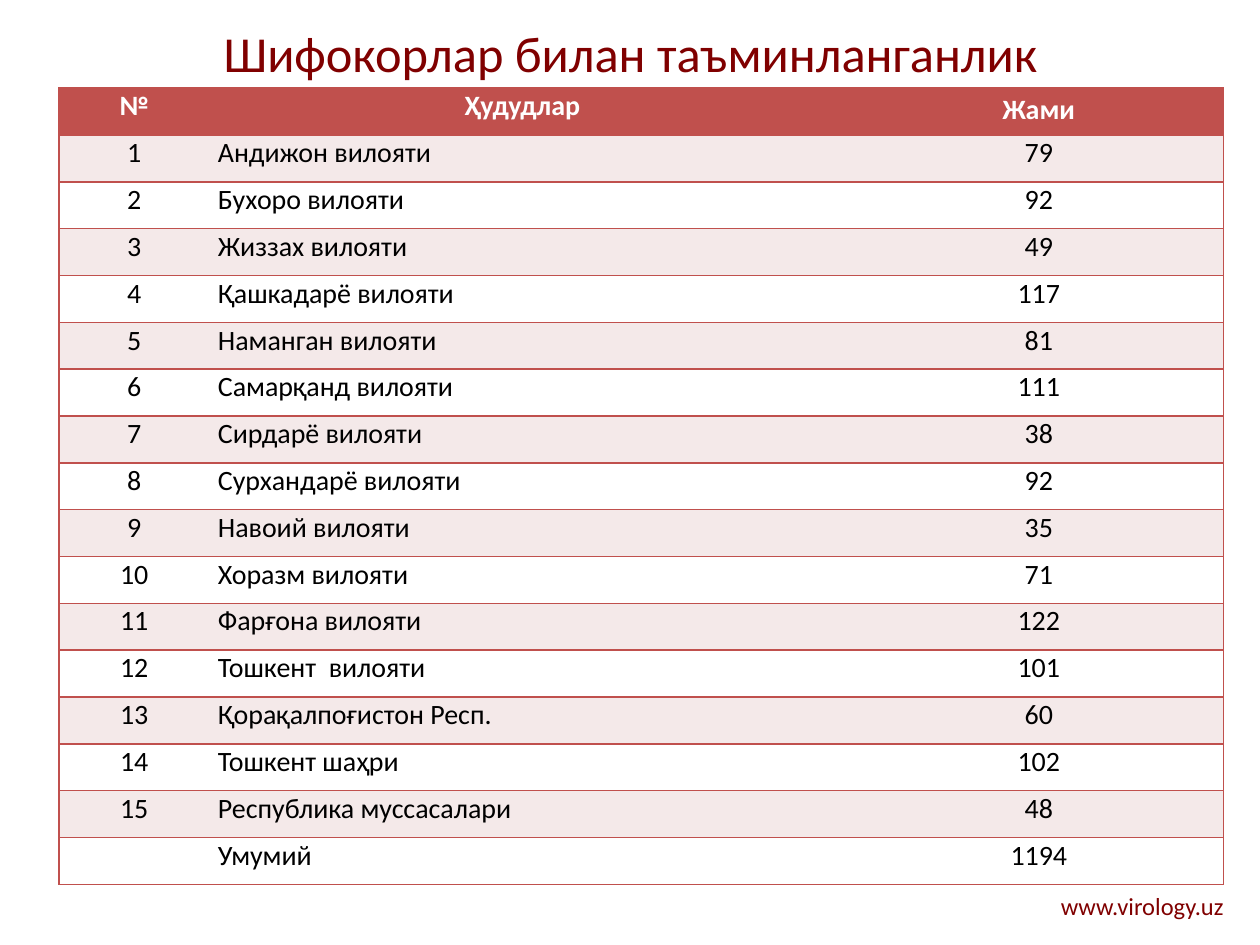
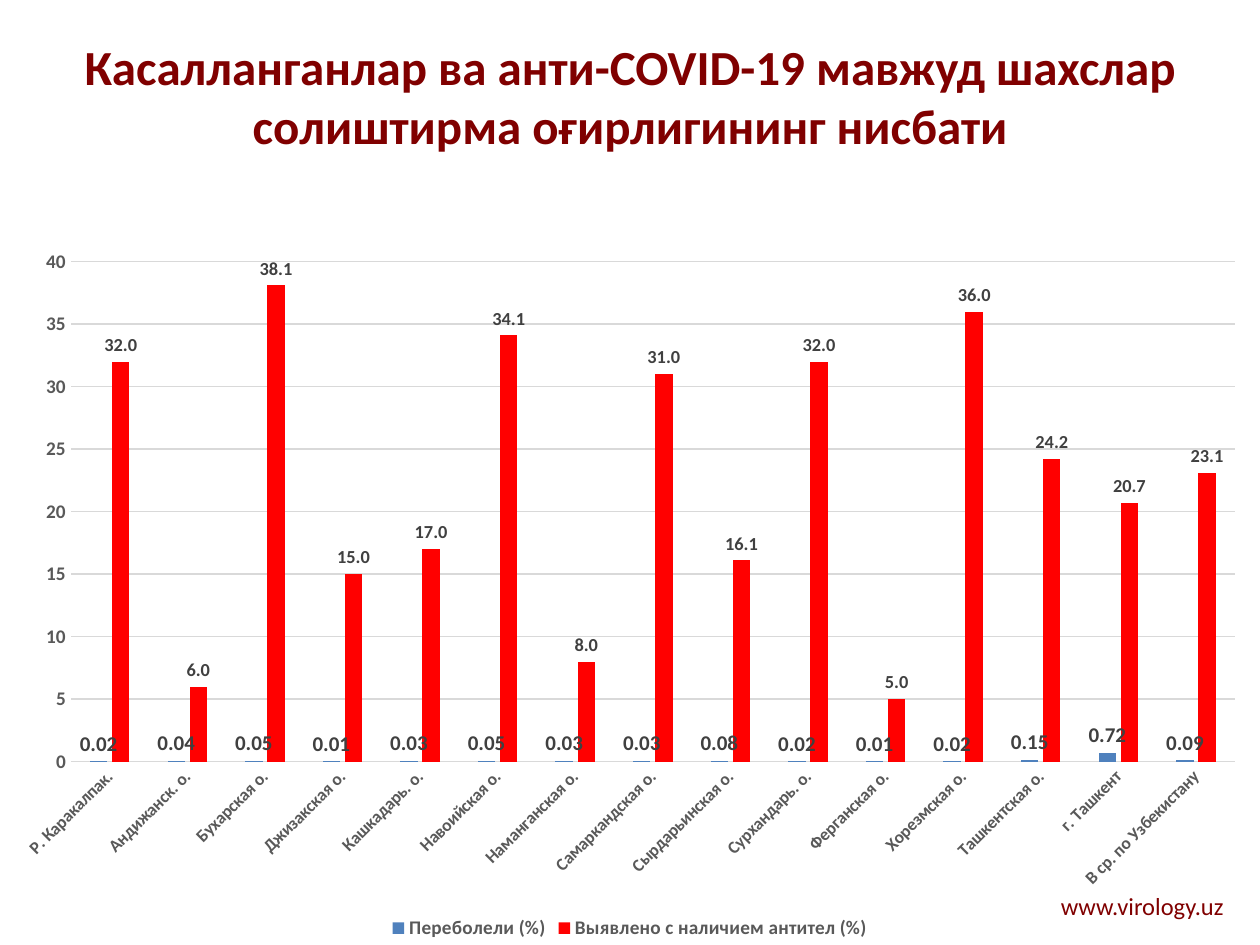
from dataclasses import dataclass

from pptx import Presentation
from pptx import util as u
from pptx.chart import data as cd
from pptx.dml import color as dc
from pptx.enum import chart as ce
from pptx.enum import text as te
from pptx.oxml import parse_xml
from pptx.oxml.ns import nsdecls

FONT = "Calibri"
HUES = {
    "title": "800000", "rule": "C0504D", "band": "F4E9E9", "white": "FFFFFF",
    "black": "000000", "grey": "595959", "label": "404040", "grid": "D9D9D9",
    "blue": "4F81BD", "red": "FF0000",
}
MID, LEFT, RIGHT = te.PP_ALIGN.CENTER, te.PP_ALIGN.JUSTIFY, te.PP_ALIGN.RIGHT
SITE = "www.virology.uz"
HEADS = ("№", "Ҳудудлар", "Жами")
AREAS = (
    ("Андижон вилояти", 79), ("Бухоро вилояти", 92), ("Жиззах вилояти", 49),
    ("Қашкадарё вилояти", 117), ("Наманган вилояти", 81),
    ("Самарқанд вилояти", 111), ("Сирдарё вилояти", 38),
    ("Сурхандарё вилояти", 92), ("Навоий вилояти", 35),
    ("Хоразм вилояти", 71), ("Фарғона вилояти", 122),
    ("Тошкент  вилояти", 101), ("Қорақалпоғистон Респ.", 60),
    ("Тошкент шаҳри", 102), ("Республика муссасалари", 48),
)
TOTAL = ("", "Умумий", 1194)
RATES = (
    ("Р. Каракалпак.", 0.02, 32), ("Андижанск. о.", 0.04, 6),
    ("Бухарская о.", 0.05, 38.1), ("Джизакская о.", 0.01, 15),
    ("Кашкадарь. о.", 0.03, 17), ("Навоийская о.", 0.05, 34.1),
    ("Наманганская о.", 0.03, 8), ("Самаркандская о.", 0.03, 31),
    ("Сырдарьинская о.", 0.08, 16.1), ("Сурхандарь. о.", 0.02, 32),
    ("Ферганская о.", 0.01, 5), ("Хорезмская о.", 0.02, 36),
    ("Ташкентская о.", 0.15, 24.2), ("г. Ташкент", 0.72, 20.7),
    ("В ср. по Узбекистану", 0.09, 23.1),
)


@dataclass(frozen=True)
class Box:
    left: float
    top: float
    width: float
    height: float

    def spans(self) -> tuple:
        return tuple(u.Inches(n) for n in
                     (self.left, self.top, self.width, self.height))


@dataclass(frozen=True)
class Bars:
    name: str
    hue: str
    size: float
    form: str


BARS = (
    Bars("Переболели (%)", "blue", 12, "General"),
    Bars("Выявлено с наличием антител (%)", "red", 10.5, "0.0"),
)


def tint(hue: str) -> dc.RGBColor:
    return dc.RGBColor.from_string(HUES[hue])


def style(font, size: float, hue: str, bold: bool = False) -> None:
    font.name, font.size, font.bold = FONT, u.Pt(size), bold
    font.color.rgb = tint(hue)


def write(frame, text: str, *, size: float, hue: str, bold: bool = False,
          align=MID, lines: float = 1.0, after: float = 0):
    par = frame.paragraphs[0]
    par.alignment, par.line_spacing = align, lines
    par.space_after = u.Pt(after)
    run = par.add_run()
    run.text = text
    style(run.font, size, hue, bold)
    return par


def add_page(deck, title: str, box: Box, size: float, bold: bool = False):
    page = deck.slides.add_slide(deck.slide_layouts[5])
    head = page.shapes.title
    head.left, head.top, head.width, head.height = box.spans()
    frame = head.text_frame
    frame.word_wrap, frame.auto_size = True, te.MSO_AUTO_SIZE.NONE
    frame.vertical_anchor = te.MSO_ANCHOR.MIDDLE
    write(frame, title, size=size, hue="title", bold=bold)
    foot = page.shapes.add_textbox(*Box(5.42, 7.02, 4.39, 0.34).spans())
    foot.text_frame.word_wrap = True
    write(foot.text_frame, SITE, size=14, hue="title", align=RIGHT)
    return page


def edge(cell, side: str, place: int, drawn: bool) -> None:
    fill = (f'<a:solidFill><a:srgbClr val="{HUES["rule"]}"/></a:solidFill>'
            if drawn else "<a:noFill/>")
    line = parse_xml(f'<a:ln{side} {nsdecls("a")} w="{u.Pt(1)}">{fill}</a:ln{side}>')
    cell._tc.get_or_add_tcPr().insert(place, line)


def fill_cell(cell, text: str, row: int, col: int) -> None:
    top = row == 0
    cell.margin_left = cell.margin_right = u.Inches(0.07)
    cell.margin_top = cell.margin_bottom = 0
    cell.fill.solid()
    cell.fill.fore_color.rgb = tint("rule" if top else "band" if row % 2 else "white")
    tall = top and col == 2
    par = write(cell.text_frame, text, size=16, bold=top,
                hue="white" if top else "black",
                align=LEFT if col == 1 and not top else MID,
                lines=1.15 if tall else 1.03, after=0 if tall else 2.1)
    props = par._p.get_or_add_pPr()
    props.set("marL", str(u.Inches(0.16)))
    props.set("indent", str(u.Inches(-0.01)))
    drawn = {"L": col == 0, "R": col == 2, "T": True, "B": True}
    for place, (side, shown) in enumerate(drawn.items()):
        edge(cell, side, place, shown)


def add_grid(page) -> None:
    rows = [HEADS, *((n, *area) for n, area in enumerate(AREAS, 1)), TOTAL]
    box = Box(0.47, 0.7, 9.24, 6.32)
    grid = page.shapes.add_table(len(rows), len(HEADS), *box.spans()).table
    grid.horz_banding = False
    for col, width in zip(grid.columns, (1.04, 5.12, 3.08)):
        col.width = u.Inches(width)
    for r, row in enumerate(rows):
        grid.rows[r].height = u.Inches(box.height / len(rows))
        for c, text in enumerate(row):
            fill_cell(grid.cell(r, c), str(text), r, c)


def set_axis(axis, size: float) -> None:
    axis.major_tick_mark = axis.minor_tick_mark = ce.XL_TICK_MARK.NONE
    style(axis.tick_labels.font, size, "grey", True)


def rule(line) -> None:
    line.color.rgb, line.width = tint("grid"), u.Pt(0.75)


def add_bars(page) -> None:
    names, *sets = zip(*RATES)
    data = cd.CategoryChartData()
    data.categories = names
    for bars, vals in zip(BARS, sets):
        data.add_series(bars.name, vals)
    chart = page.shapes.add_chart(ce.XL_CHART_TYPE.COLUMN_CLUSTERED,
                                  *Box(0, 1.87, 10, 5.63).spans(), data).chart
    style(chart.font, 10, "black")
    chart.has_title = False
    chart.has_legend = True
    chart.legend.position = ce.XL_LEGEND_POSITION.BOTTOM
    chart.legend.include_in_layout = False
    style(chart.legend.font, 11, "grey", True)

    base, scale = chart.category_axis, chart.value_axis
    set_axis(base, 10)
    set_axis(scale, 11)
    rule(base.format.line)
    base._element.txPr.bodyPr.set("rot", str(-45 * 60000))
    scale.minimum_scale, scale.maximum_scale, scale.major_unit = 0, 40, 5
    scale.format.line.fill.background()
    rule(scale.major_gridlines.format.line)

    plot = chart.plots[0]
    plot.gap_width, plot.overlap, plot.vary_by_categories = 219, -27, False
    for bars, group in zip(BARS, plot.series):
        group.format.fill.solid()
        group.format.fill.fore_color.rgb = tint(bars.hue)
        group.invert_if_negative = False
        marks = group.data_labels
        marks.show_value = True
        marks.position = ce.XL_LABEL_POSITION.OUTSIDE_END
        marks.number_format, marks.number_format_is_linked = bars.form, False
        style(marks.font, bars.size, "label", True)


def main() -> None:
    deck = Presentation()
    deck.slide_width, deck.slide_height = u.Inches(10), u.Inches(7.5)
    add_grid(add_page(deck, "Шифокорлар билан таъминланганлик",
                      Box(0.2, 0.13, 9.61, 0.57), 28.8))
    add_bars(add_page(deck, "Касалланганлар ва анти-COVID-19 мавжуд шахслар "
                      "солиштирма оғирлигининг нисбати",
                      Box(0.5, 0.21, 9, 1.1), 28, True))
    deck.save("out.pptx")


if __name__ == "__main__":
    main()
